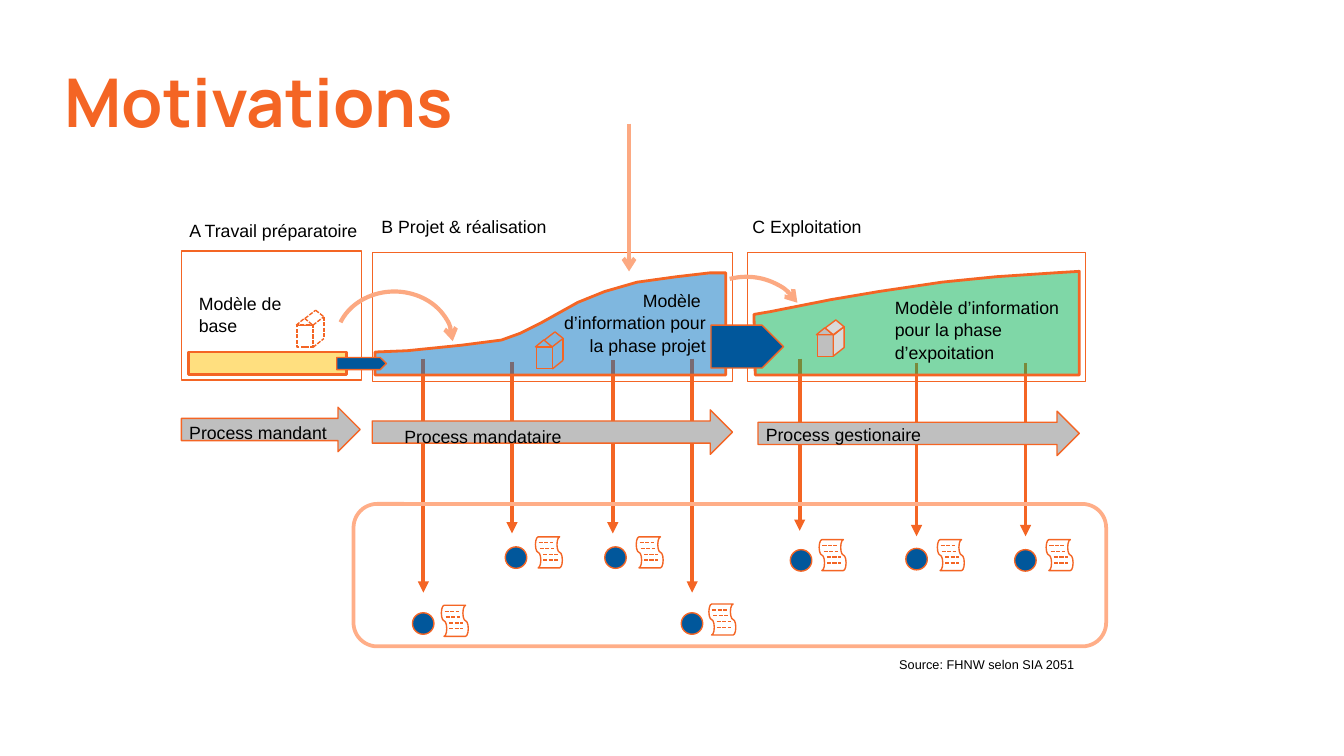
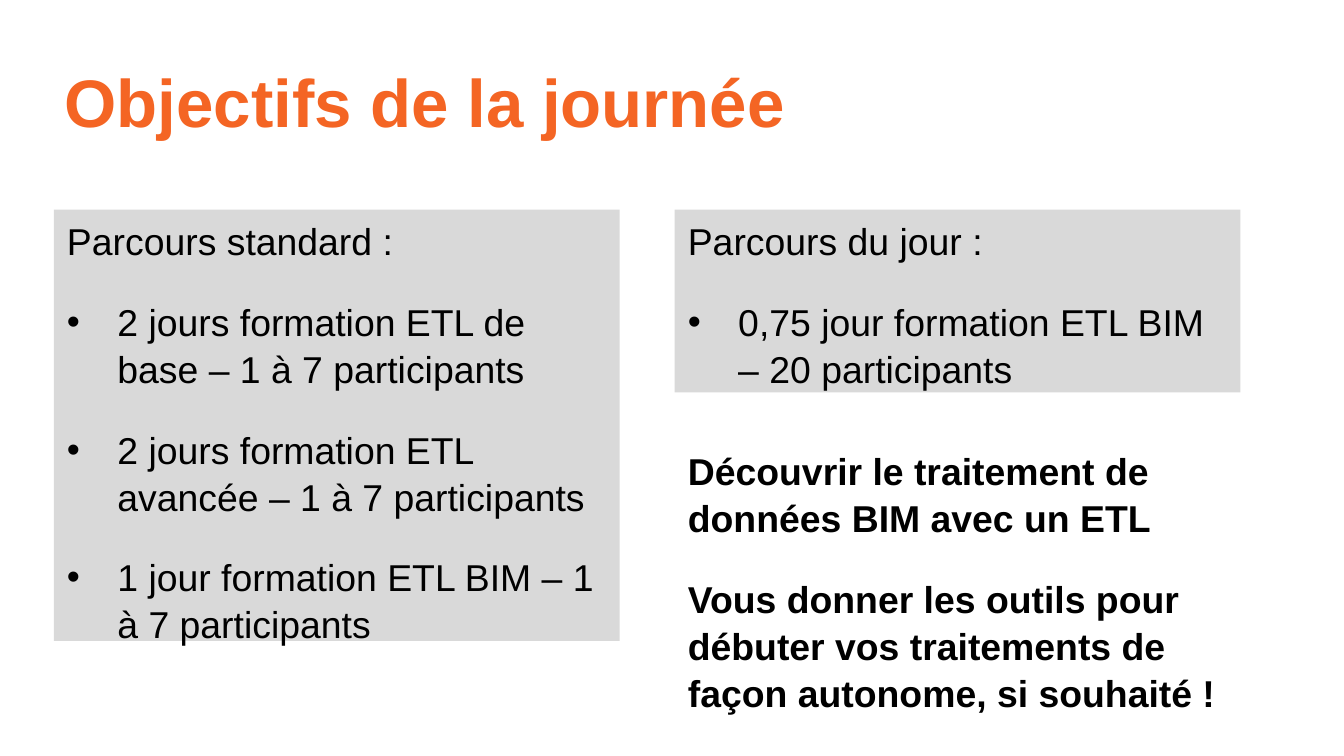
from dataclasses import dataclass
from lxml.etree import SubElement
from pptx import Presentation
from pptx.dml.color import RGBColor
from pptx.enum.dml import MSO_LINE
from pptx.enum.shapes import MSO_CONNECTOR, MSO_SHAPE
from pptx.enum.text import MSO_ANCHOR, PP_ALIGN
from pptx.oxml.ns import qn
from pptx.util import Pt

ORANGE = RGBColor(0xF4, 0x65, 0x24)
SALMON = RGBColor(0xFC, 0xA9, 0x82)
PEACH = RGBColor(0xFF, 0xAE, 0x88)
NAVY = RGBColor(0x01, 0x57, 0x9B)
BLUE = RGBColor(0x00, 0x70, 0xC0)
GREEN = RGBColor(0x00, 0xB0, 0x50)
YELLOW = RGBColor(0xFF, 0xC0, 0x00)
GREY = RGBColor(0xBF, 0xBF, 0xBF)
LIGHT_GREY = RGBColor(0xD9, 0xD9, 0xD9)
BLACK = RGBColor(0, 0, 0)

BODY_FONT = "Arial"
LINE_SPACING = 1.05
THIN = 0.75


@dataclass(frozen=True)
class Box:
    left: float
    top: float
    width: float
    height: float

    def lengths(self) -> tuple:
        return Pt(self.left), Pt(self.top), Pt(self.width), Pt(self.height)


@dataclass(frozen=True)
class Phase:
    heading: str
    heading_box: Box
    frame: Box
    process: str
    process_box: Box
    arrow: Box


@dataclass(frozen=True)
class Delivery:
    """An arrow down from a model to a dot and a document."""
    x: float
    start: float
    end: float
    dot: tuple[float, float]
    document: tuple[float, float]


@dataclass(frozen=True)
class Label:
    lines: list[str]
    box: Box
    align: PP_ALIGN = PP_ALIGN.LEFT


@dataclass(frozen=True)
class Panel:
    box: Box
    heading: str
    bullets: list[str]


PHASES = [
    Phase("A Travail préparatoire", Box(94.3, 113.8, 111.6, 18.7), Box(97.2, 134.6, 96.5, 69.1),
          "Process mandant", Box(94.3, 221.8, 91.4, 18.7), Box(97.2, 218.2, 95.8, 23.8)),
    Phase("B Projet & réalisation", Box(197.3, 111.6, 139.7, 18.7), Box(199.4, 135.4, 193, 69.1),
          "Process mandataire", Box(209.5, 223.9, 180, 18.7), Box(199.4, 219.6, 193, 23.8)),
    Phase("C Exploitation", Box(396, 111.6, 154.1, 18.7), Box(400.3, 135.4, 181.4, 69.1),
          "Process gestionaire", Box(403.2, 223.2, 177.8, 18.7), Box(406.1, 220.3, 172.1, 23.8)),
]
DELIVERIES = [
    Delivery(226.8, 192.2, 317.5, (221, 328.3), (235.4, 325.4)),
    Delivery(274.3, 193.7, 285.8, (270.7, 293), (285.8, 288.7)),
    Delivery(328.3, 193, 285.8, (324, 293), (339.8, 288.7)),
    Delivery(370.8, 192.2, 317.5, (365, 328.3), (378.7, 324.7)),
    Delivery(428.4, 192.2, 284.4, (423.4, 294.5), (437.8, 290.2)),
    Delivery(491, 194.4, 287.3, (485.3, 293.8), (501.1, 290.2)),
    Delivery(549.4, 194.4, 287.3, (543.6, 294.5), (559.4, 290.2)),
]
MODEL_LABELS = [
    Label(["Modèle d’information pour la phase d’expoitation"], Box(472.3, 154.8, 104.4, 41.8)),
    Label(["Modèle ", "d’information pour", "la phase projet"],
          Box(281.5, 151.2, 103.7, 41.8), PP_ALIGN.RIGHT),
    Label(["Modèle de", "base"], Box(99.4, 152.6, 90, 30.2)),
]
PROJECT_CURVE = [
    (200.9, 200.9), (388.8, 200.9), (388.8, 146.2), (380.2, 146.2), (362.2, 148.3),
    (341.3, 151.2), (324, 156.2), (309.6, 162), (290.2, 172.8), (278.6, 178.6),
    (268.6, 182.2), (247, 185), (218.2, 187.9), (200.9, 188.6),
]
OPERATION_CURVE = [
    (404.6, 200.9), (578.2, 200.9), (578.2, 145.4), (565.2, 146.2), (533.5, 148.3),
    (504.7, 151.2), (470.9, 156.2), (445, 160.6), (412.6, 167), (403.9, 168.5),
]
ROOF = [(442.1, 175.7), (446.4, 179.3), (452.2, 175), (447.8, 171.4)]
# Edges of a house seen from its front wall's top left corner
HOUSE_EDGES = [
    ((8.6, 0), (14.4, -4.5)), ((8.6, 11.9), (14.4, 7.2)), ((4.3, -3.6), (10, -8)),
    ((10, -8), (14.4, -4.5)), ((14.4, -4.5), (14.4, 7.2)),
]
PANELS = [
    Panel(Box(28.8, 112.3, 303.1, 231.1), "Parcours standard :",
          ["2 jours formation ETL de base – 1 à 7 participants",
           "2 jours formation ETL avancée – 1 à 7 participants",
           "1 jour formation ETL BIM – 1 à 7 participants"]),
    Panel(Box(361.4, 112.3, 303.1, 97.9), "Parcours du jour :",
          ["0,75 jour formation ETL BIM – 20 participants"]),
]
GOALS = ["Découvrir le traitement de données BIM avec un ETL",
         "Vous donner les outils pour débuter vos traitements de façon autonome, si souhaité !"]


def style(shape, fill=None, line=ORANGE, width: float = THIN, alpha: int = 100, dashed=False):
    """Give a closed shape its fill and outline."""
    shape.shadow.inherit = False
    if fill is None:
        shape.fill.background()
    else:
        shape.fill.solid()
        shape.fill.fore_color.rgb = fill
        if alpha < 100:
            color = shape.element.spPr.find(qn("a:solidFill"))[0]
            SubElement(color, qn("a:alpha"), val=str(alpha * 1000))
    if line is None:
        shape.line.fill.background()
    else:
        set_line(shape, line, width, dashed)
    return shape


def set_line(shape, color: RGBColor, width: float, dashed=False, arrow: str = "") -> None:
    shape.line.color.rgb = color
    shape.line.width = Pt(width)
    if dashed:
        shape.line.dash_style = MSO_LINE.SQUARE_DOT
    if arrow:
        SubElement(shape.get_or_add_ln(), qn("a:tailEnd"), type=arrow)


def draw_shape(canvas, kind: MSO_SHAPE, box: Box, fill=None, **look):
    return style(canvas.add_shape(kind, *box.lengths()), fill, **look)


def draw_line(canvas, start: tuple, end: tuple, color=ORANGE, width: float = THIN,
              dashed=False, arrow: str = "") -> None:
    ends = [Pt(value) for value in (*start, *end)]
    line = canvas.add_connector(MSO_CONNECTOR.STRAIGHT, *ends)
    set_line(line, color, width, dashed, arrow)
    SubElement(line.element.spPr, qn("a:effectLst"))


def draw_outline(canvas, points: list, fill: RGBColor, **look) -> None:
    corners = [(Pt(x), Pt(y)) for x, y in points]
    builder = canvas.build_freeform(*corners[0], scale=1.0)
    builder.add_line_segments(corners[1:], close=True)
    style(builder.convert_to_shape(), fill, **look)


def write(shape, lines: list[str], size: float, font: str = BODY_FONT, color=BLACK, bold=False,
          align=PP_ALIGN.LEFT, after: float = 0, bulleted_from: int = 99) -> None:
    frame = shape.text_frame
    frame.word_wrap = True
    frame.vertical_anchor = MSO_ANCHOR.TOP
    for index, line in enumerate(lines):
        para = frame.paragraphs[0] if index == 0 else frame.add_paragraph()
        para.text = line
        if index >= bulleted_from:
            properties = para._p.get_or_add_pPr()
            properties.set("marL", str(Pt(27)))
            properties.set("indent", str(Pt(-27)))
            SubElement(properties, qn("a:buFont"), typeface=BODY_FONT)
            SubElement(properties, qn("a:buChar"), char="•")
        para.alignment = align
        para.line_spacing = LINE_SPACING
        para.space_after = Pt(after)
        para.font.size = Pt(size)
        para.font.name = font
        para.font.bold = bold
        para.font.color.rgb = color


def add_label(page, lines: list[str], box: Box, size: float = 9.5, **look):
    label = page.shapes.add_textbox(*box.lengths())
    write(label, lines, size, **look)
    return label


def add_title(page, text: str, font: str = BODY_FONT) -> None:
    title = add_label(page, [text], Box(34.6, 30.2, 630, 43.2), 36,
                      font=font, color=ORANGE, bold=True)
    frame = title.text_frame
    frame.margin_left = frame.margin_top = frame.margin_right = frame.margin_bottom = 0


def draw_document(page, left: float, top: float) -> None:
    group = page.shapes.add_group_shape().shapes
    sheet = draw_shape(group, MSO_SHAPE.FLOWCHART_PUNCHED_TAPE, Box(left, top, 16.6, 14.4))
    sheet.rotation = 270
    for row, shift in enumerate((2.8, 3.4, 5.2, 5.2)):
        x, y = left + shift, top + 2.1 + 3.1 * row
        draw_line(group, (x, y), (x + 7.7, y), dashed=True)


def draw_house_front(canvas, left: float, top: float, fill=None, dashed=False) -> None:
    draw_shape(canvas, MSO_SHAPE.RECTANGLE, Box(left, top, 8.6, 11.7), fill, dashed=dashed)
    draw_shape(canvas, MSO_SHAPE.ISOSCELES_TRIANGLE, Box(left - 0.4, top - 3.7, 8.9, 3.7),
               fill, dashed=dashed)


def draw_wire_house(page, left: float, top: float, dashed=False) -> None:
    group = page.shapes.add_group_shape().shapes
    draw_house_front(group, left, top, dashed=dashed)
    for (x1, y1), (x2, y2) in HOUSE_EDGES:
        draw_line(group, (left + x1, top + y1), (left + x2, top + y2), dashed=dashed)


def draw_solid_house(page) -> None:
    draw_house_front(page.shapes, 437.8, 179.3, GREY)
    side = draw_shape(page.shapes, MSO_SHAPE.PARALLELOGRAM, Box(441.4, 180, 15.8, 5.8), LIGHT_GREY)
    side.rotation = 270
    side.adjustments[0] = 0.792
    side.element.spPr.get_or_add_xfrm().set("flipV", "1")
    draw_outline(page.shapes, ROOF, LIGHT_GREY)


def draw_arc(page, left: float, top: float, start: float, end: float) -> None:
    """Draw a curved arrow; angles are in degrees, clockwise."""
    arc = draw_shape(page.shapes, MSO_SHAPE.ARC, Box(left, top, 62.6, 54), line=SALMON, width=2.25)
    for index, angle in enumerate((start, end)):
        arc.adjustments[index] = (angle if angle <= 180 else angle - 360) * 0.6 + (
            0 if angle <= 180 else 216)
    SubElement(arc.get_or_add_ln(), qn("a:tailEnd"), type="arrow")


def build_motivations(page) -> None:
    canvas = page.shapes
    add_title(page, "Motivations", "Manrope")
    # Deliveries lie behind the models and process arrows
    for item in DELIVERIES:
        draw_line(canvas, (item.x, item.start), (item.x, item.end), width=2, arrow="triangle")
        draw_shape(canvas, MSO_SHAPE.OVAL, Box(*item.dot, 11.5, 11.5), NAVY)
        draw_document(page, *item.document)
    # Phases and processes
    for phase in PHASES:
        draw_shape(canvas, MSO_SHAPE.RECTANGLE, phase.frame)
        draw_shape(canvas, MSO_SHAPE.RIGHT_ARROW, phase.arrow, GREY)
        add_label(page, [phase.heading], phase.heading_box)
        add_label(page, [phase.process], phase.process_box)
    # Models and handovers
    draw_shape(canvas, MSO_SHAPE.RECTANGLE, Box(100.8, 188.6, 85, 12.2), YELLOW,
               width=1.5, alpha=50)
    draw_outline(canvas, PROJECT_CURVE, BLUE, width=1.5, alpha=50)
    draw_outline(canvas, OPERATION_CURVE, GREEN, width=1.5, alpha=50)
    for handover in (Box(380.9, 174.2, 38.9, 23), Box(180.4, 191.5, 26.6, 6.5)):
        draw_shape(canvas, MSO_SHAPE.PENTAGON, handover, NAVY)
    for label in MODEL_LABELS:
        add_label(page, label.lines, label.box, align=label.align)
    # Houses
    draw_wire_house(page, 159.1, 174.2, dashed=True)
    draw_wire_house(page, 287.3, 185.8)
    draw_solid_house(page)
    # Highlights
    draw_arc(page, 180, 156.2, 200.02, 359.27)
    draw_arc(page, 368.6, 148.3, 250.94, 334.36)
    draw_line(canvas, (337, 66.2), (337, 145.4), SALMON, 2.25, arrow="arrow")
    draw_shape(canvas, MSO_SHAPE.ROUNDED_RECTANGLE, Box(189.4, 270, 403.2, 76.3),
               line=PEACH, width=2)
    source = add_label(page, ["Source: FHNW selon SIA 2051"], Box(463.7, 347.8, 159.8, 15.1), 6.8)
    source.text_frame.margin_left = Pt(18)


def build_goals(page) -> None:
    add_title(page, "Objectifs de la journée")
    add_label(page, GOALS, Box(361.4, 235.4, 303.1, 146.9), 20, bold=True, after=18)
    for panel in PANELS:
        shape = draw_shape(page.shapes, MSO_SHAPE.RECTANGLE, panel.box, LIGHT_GREY, line=None)
        write(shape, [panel.heading, *panel.bullets], 20, after=18, bulleted_from=1)


def main() -> None:
    deck = Presentation()
    deck.slide_width, deck.slide_height = Pt(720), Pt(405)
    for build in (build_motivations, build_goals):
        build(deck.slides.add_slide(deck.slide_layouts[6]))
    deck.save("out.pptx")


if __name__ == "__main__":
    main()
